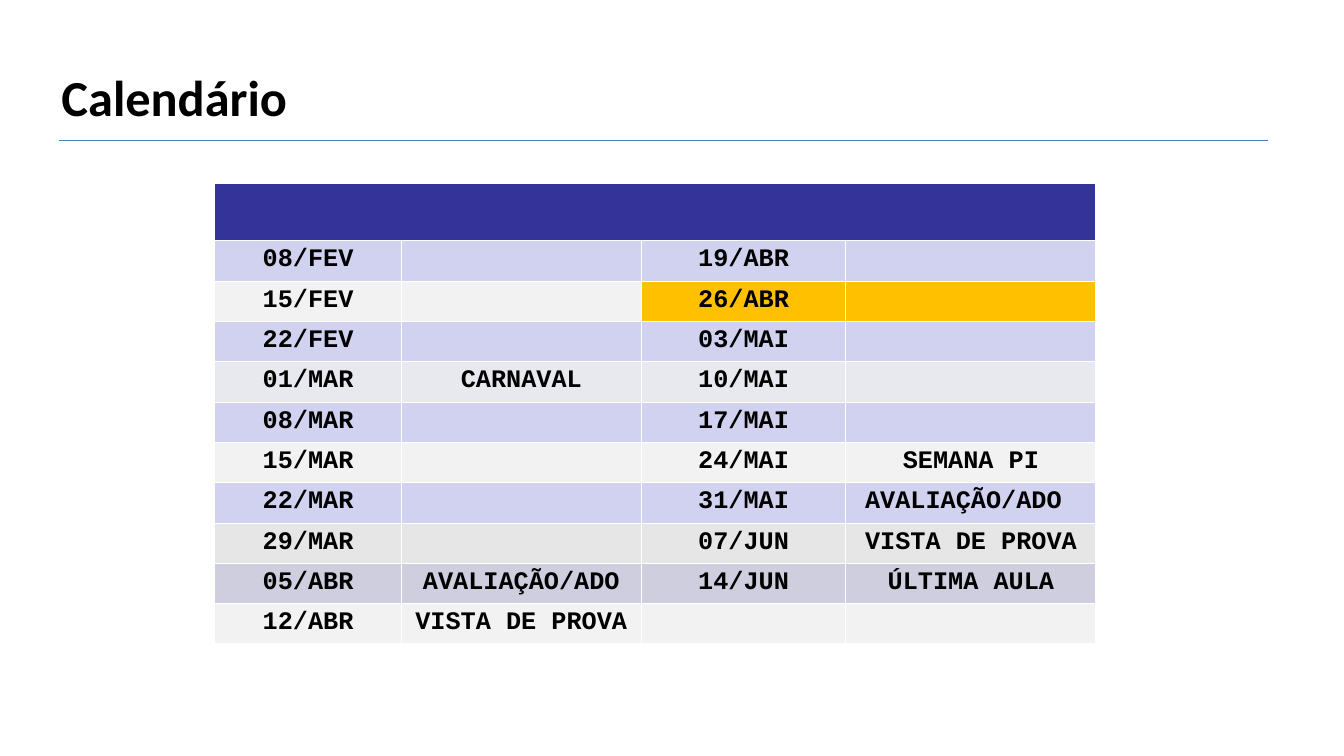
from lxml import etree
from pptx import Presentation
from pptx.dml.color import RGBColor
from pptx.enum.shapes import MSO_CONNECTOR
from pptx.enum.text import MSO_ANCHOR, PP_ALIGN
from pptx.oxml import parse_xml
from pptx.oxml.ns import nsdecls, qn
from pptx.util import Inches, Pt


def rgb(color):
    return RGBColor.from_string(color)


def write(tf, text, size=18, font="Courier New", align=PP_ALIGN.CENTER):
    p = tf.paragraphs[0]
    p.alignment = align
    r = p.add_run()
    r.text = text
    r.font.size, r.font.name, r.font.bold = Pt(size), font, True
    r.font.color.rgb = rgb("000000")


prs = Presentation()
prs.slide_width, prs.slide_height = Inches(13.33), Inches(7.5)
s = prs.slides.add_slide(prs.slide_layouts[5])

# Title and rule
title = s.shapes.title
title.left, title.top = Inches(0.51), Inches(0.6)
title.width, title.height = Inches(8.99), Inches(0.71)
title.text_frame.vertical_anchor = MSO_ANCHOR.MIDDLE
write(title.text_frame, "Calendário", size=36, font="Calibri", align=PP_ALIGN.LEFT)

rule = s.shapes.add_connector(
    MSO_CONNECTOR.STRAIGHT, Inches(0.59), Inches(1.39), Inches(12.58), Inches(1.39))
rule.line.color.rgb = rgb("4A7DBA")
rule.line.width = Pt(0.75)
etree.SubElement(rule.element.spPr, qn("a:effectLst"))

# Calendar: row fill, then date and event for each half of the term
LILAC, PALE, AMBER = "D1D1F0", "F2F2F2", "FFC000"
WEEKS = [
    (LILAC, "08/FEV", "", "19/ABR", ""),
    (PALE, "15/FEV", "", "26/ABR", ""),
    (LILAC, "22/FEV", "", "03/MAI", ""),
    ("E8E8EF", "01/MAR", "CARNAVAL", "10/MAI", ""),
    (LILAC, "08/MAR", "", "17/MAI", ""),
    (PALE, "15/MAR", "", "24/MAI", "SEMANA PI"),
    (LILAC, "22/MAR", "", "31/MAI", "AVALIAÇÃO/ADO "),
    ("E6E6E6", "29/MAR", "", "07/JUN", "VISTA DE PROVA"),
    ("CECEDE", "05/ABR", "AVALIAÇÃO/ADO", "14/JUN", "ÚLTIMA AULA"),
    (PALE, "12/ABR", "VISTA DE PROVA", "", ""),
]
rows = [("333399", "", "", "", "")] + WEEKS
table = s.shapes.add_table(
    len(rows), 4, Inches(2.13), Inches(1.82), Inches(8.74), Inches(4.6)).table
for col, width in zip(table.columns, (1.85, 2.38, 2.03, 2.48)):
    col.width = Inches(width)

for i, (row_fill, *texts) in enumerate(rows):
    table.rows[i].height = Inches(0.4 if i else 0.57)
    for j, text in enumerate(texts):
        cell = table.cell(i, j)
        cell.margin_left = cell.margin_right = Inches(0.1)
        cell.margin_top = cell.margin_bottom = Inches(0.05 if text else 0)
        if text:
            write(cell.text_frame, text)
        tcPr = cell._tc.get_or_add_tcPr()
        for side in ("lnL", "lnR", "lnT", "lnB"):
            tcPr.append(parse_xml(
                f'<a:{side} {nsdecls("a")} w="{Pt(1)}"><a:solidFill>'
                f'<a:srgbClr val="FFFFFF"/></a:solidFill></a:{side}>'))
        exam_week = "26/ABR" in texts and j >= 2
        cell.fill.solid()
        cell.fill.fore_color.rgb = rgb(AMBER if exam_week else row_fill)
table.cell(0, 0).merge(table.cell(0, 3))

prs.save("out.pptx")
